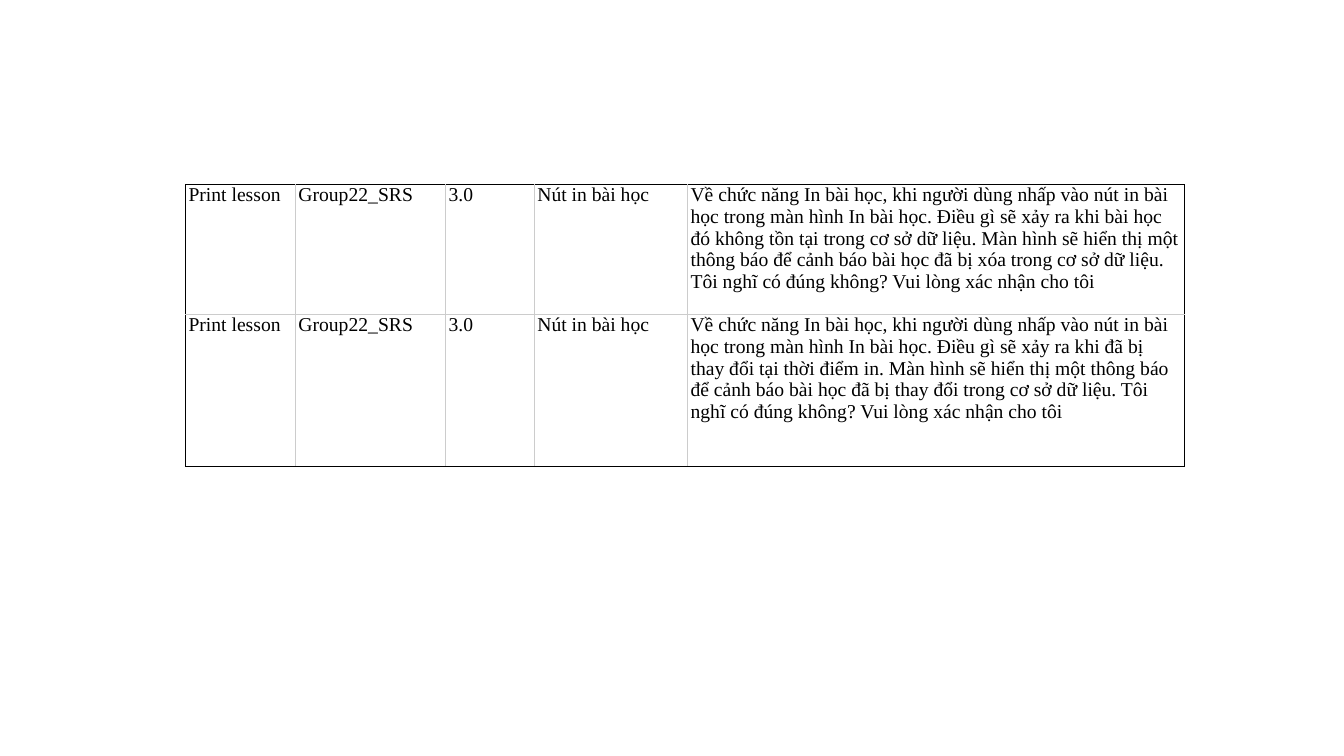
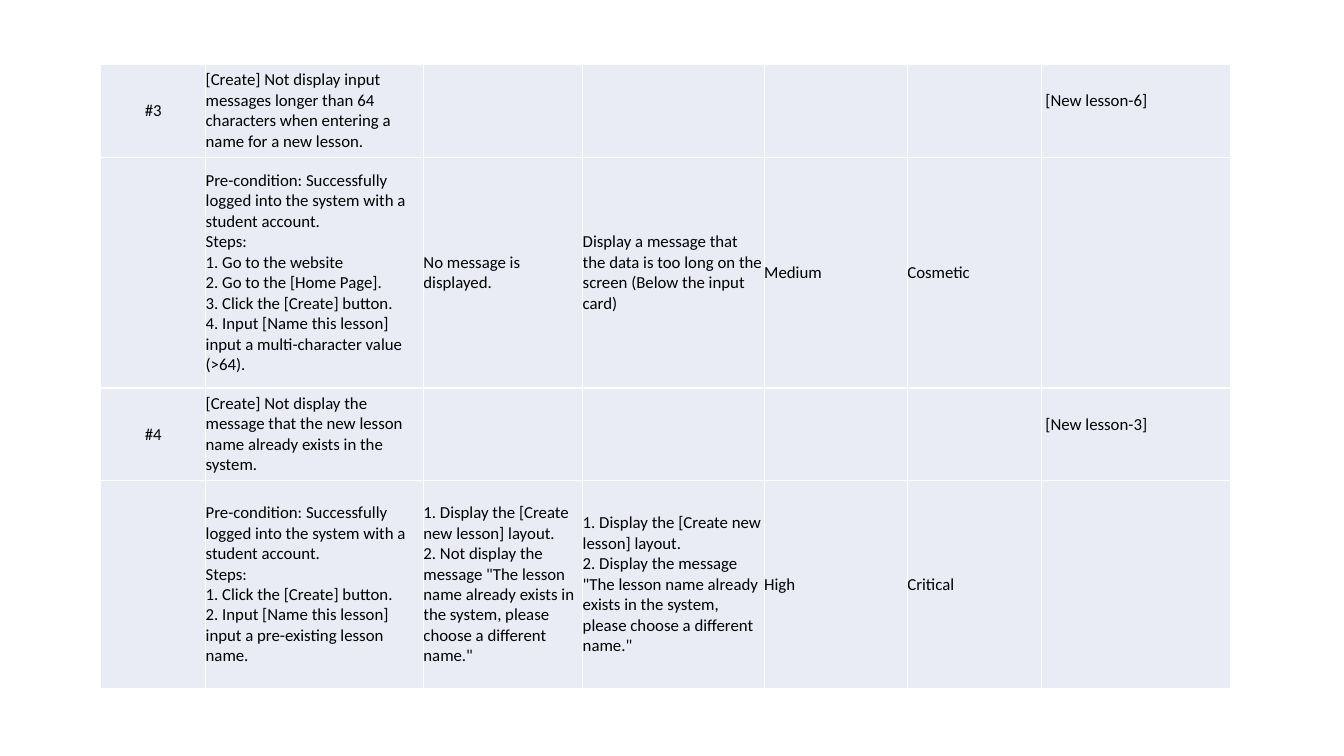
from lxml.etree import SubElement
from pptx import Presentation
from pptx.dml.color import RGBColor
from pptx.enum.text import MSO_ANCHOR, PP_ALIGN
from pptx.oxml.ns import qn
from pptx.util import Inches, Pt

COLORS = {"text": "000000", "frame": "000000", "inner": "CCCCCC",
          "gap": "FFFFFF", "band": "E9EBF5"}


def set_border(cell, side, color, width):
    """Draw one side (L, R, T or B) of a cell; call before setting its fill."""
    line = SubElement(cell._tc.get_or_add_tcPr(), qn(f"a:ln{side}"), w=str(Pt(width)))
    fill = SubElement(line, qn("a:solidFill"))
    SubElement(fill, qn("a:srgbClr"), val=COLORS[color])


def add_grid(slide, left, top, widths, heights, rows, font, size, inset,
             frame, inner, line_width):
    """Add a table whose outer sides use the frame colour and the rest the inner one."""
    table = slide.shapes.add_table(
        len(heights), len(widths), Inches(left), Inches(top),
        Inches(sum(widths)), Inches(sum(heights))).table
    table.first_row = table.horz_banding = False
    for column, width in zip(table.columns, widths):
        column.width = Inches(width)
    for row, height in zip(table.rows, heights):
        row.height = Inches(height)
    for r, texts in enumerate(rows):
        for c, text in enumerate(texts):
            cell = table.cell(r, c)
            cell.text = text
            cell.margin_left = cell.margin_right = Inches(inset)
            cell.margin_top = cell.margin_bottom = 0
            outer = {"L": c == 0, "R": c == len(widths) - 1,
                     "T": r == 0, "B": r == len(heights) - 1}
            for side, is_outer in outer.items():
                set_border(cell, side, frame if is_outer else inner, line_width)
            cell.fill.background()
            for paragraph in cell.text_frame.paragraphs:
                paragraph.font.name = font
                paragraph.font.size = Pt(size)
                paragraph.font.color.rgb = RGBColor.from_string(COLORS["text"])
    return table


prs = Presentation()
prs.slide_width, prs.slide_height = Inches(13.33), Inches(7.5)
blank = prs.slide_layouts[6]

# Questions about the print function
question = (
    "Về chức năng In bài học, khi người dùng nhấp vào nút in bài học trong màn hình "
    "In bài học. Điều gì sẽ xảy ra khi {event}. Màn hình sẽ hiển thị một thông báo để "
    "cảnh báo bài học đã bị {change} trong cơ sở dữ liệu. Tôi nghĩ có đúng không? "
    "Vui lòng xác nhận cho tôi")
cases = [("bài học đó không tồn tại trong cơ sở dữ liệu", "xóa"),
         ("đã bị thay đổi tại thời điểm in", "thay đổi")]
questions = [["Print lesson", "Group22_SRS", "3.0", "Nút in bài học",
              question.format(event=event, change=change)]
             for event, change in cases]
add_grid(prs.slides.add_slide(blank), 1.84, 1.83, [1.09, 1.49, 0.88, 1.52, 4.93],
         [1.29, 1.51], questions, "Times New Roman", 14, 0.03, "frame", "inner", 0.6)

# Defects found when creating a lesson
precondition = ("Pre-condition: Successfully logged into the system with a student account.\n"
                "Steps:\n")
layout_shown = "1. Display the [Create new lesson] layout.\n"
name_exists = ('the message "The lesson name already exists in the system, '
               'please choose a different name."')
defects = [
    ["#3",
     "[Create] Not display input messages longer than 64 characters when entering "
     "a name for a new lesson.",
     "", "", "", "", "[New lesson-6]"],
    ["",
     precondition + "1. Go to the website\n2. Go to the [Home Page].\n"
     "3. Click the [Create] button.\n"
     "4. Input [Name this lesson] input a multi-character value (>64).",
     "No message is displayed.",
     "Display a message that the data is too long on the screen (Below the input card)",
     "Medium", "Cosmetic", ""],
    ["#4",
     "[Create] Not display the message that the new lesson name already exists "
     "in the system.",
     "", "", "", "", "[New lesson-3]"],
    ["",
     precondition + "1. Click the [Create] button.\n"
     "2. Input [Name this lesson] input a pre-existing lesson name.",
     layout_shown + "2. Not display " + name_exists,
     layout_shown + "2. Display " + name_exists,
     "High", "Critical", ""],
]
defect_table = add_grid(
    prs.slides.add_slide(blank), 1, 0.64, [1.04, 2.16, 1.58, 1.8, 1.42, 1.33, 1.88],
    [0.92, 2.29, 0.92, 2.06], defects, "Calibri", 12, 0, "gap", "gap", 1)
for cell in defect_table.iter_cells():
    cell.vertical_anchor = MSO_ANCHOR.MIDDLE
    cell.fill.solid()
    cell.fill.fore_color.rgb = RGBColor.from_string(COLORS["band"])
for row in (0, 2):
    number, test_case = defect_table.cell(row, 0), defect_table.cell(row, 6)
    number.text_frame.paragraphs[0].alignment = PP_ALIGN.CENTER
    test_case.margin_left, test_case.margin_bottom = Inches(0.04), Inches(0.2)

prs.save("out.pptx")
